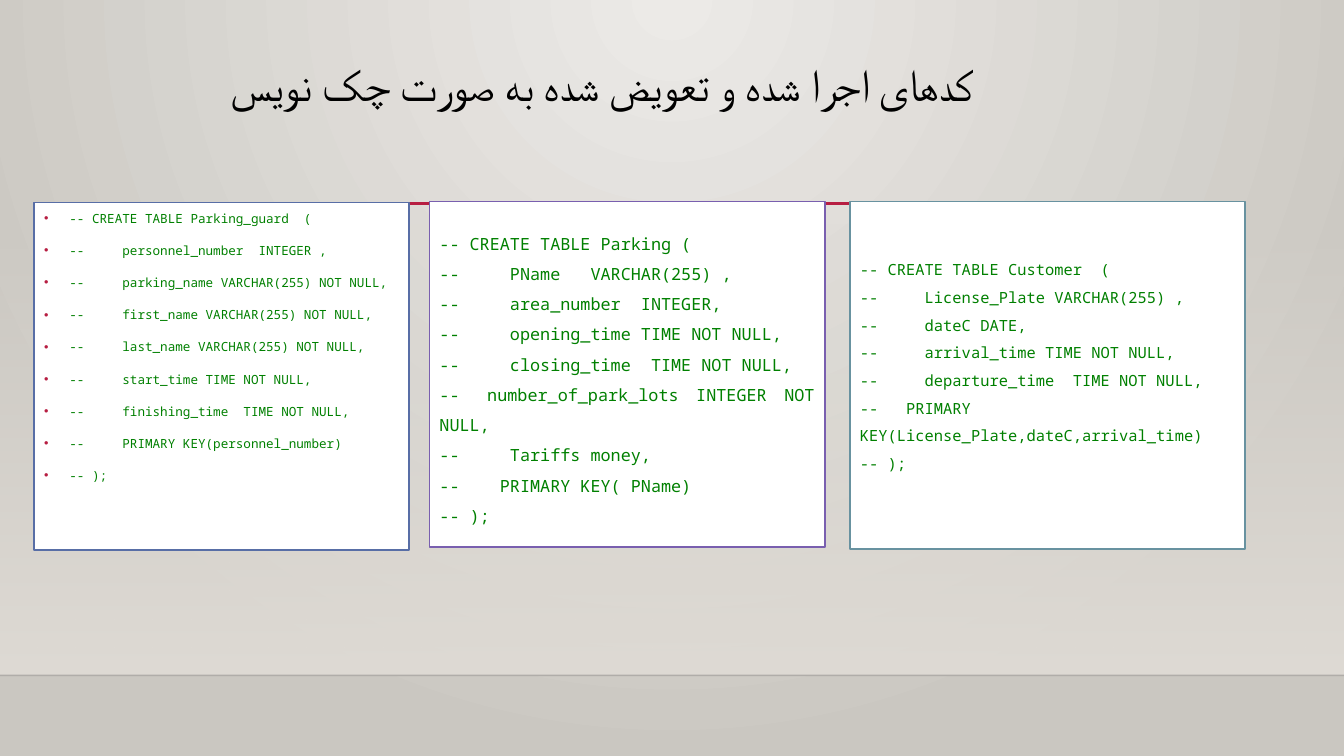
from lxml.etree import SubElement
from pptx import Presentation
from pptx.dml.color import RGBColor
from pptx.enum.shapes import MSO_CONNECTOR, MSO_SHAPE
from pptx.enum.text import MSO_ANCHOR as ANCHOR, MSO_AUTO_SIZE, PP_ALIGN as ALIGN
from pptx.oxml import parse_xml
from pptx.oxml.ns import nsdecls, qn
from pptx.util import Inches, Pt

TITLE = "کدهای اجرا شده و تعویض شده به صورت چک نویس"
COLORS = {
    "glow": "ECEAE7", "edge": "CAC7C1", "wall": "DFDBD5", "floor": "000001",
    "accent": "B71E42", "title": "000000", "code": "008000", "panel": "FFFFFF",
    "guard": "586EA6", "parking": "795FAF", "customer": "6892A0",
}
PANELS = [
    {"border": "guard", "box": (0.34, 2.01, 3.72, 3.45), "size": 9, "bullets": True,
     "anchor": ANCHOR.TOP, "bottom": 0.05,
     "para": {"alignment": ALIGN.LEFT, "line_spacing": 1.2, "space_before": Pt(10)},
     "code": [
         "-- CREATE TABLE Parking_guard  (",
         "--     personnel_number  INTEGER ,",
         "--     parking_name VARCHAR(255) NOT NULL,",
         "--     first_name VARCHAR(255) NOT NULL,",
         "--     last_name VARCHAR(255) NOT NULL,",
         "--     start_time TIME NOT NULL,",
         "--     finishing_time  TIME NOT NULL,",
         "--     PRIMARY KEY(personnel_number)",
         "-- );"]},
    {"border": "parking", "box": (4.26, 2, 3.92, 3.43), "size": 12, "bullets": False,
     "anchor": ANCHOR.MIDDLE, "bottom": 0.05,
     "para": {"alignment": ALIGN.JUSTIFY, "line_spacing": 1.5},
     "code": [
         "-- CREATE TABLE Parking (",
         "--     PName   VARCHAR(255) ,",
         "--     area_number  INTEGER,",
         "--     opening_time TIME NOT NULL,",
         "--     closing_time  TIME NOT NULL,",
         "--  number_of_park_lots INTEGER NOT NULL,",
         "--     Tariffs money,",
         "--    PRIMARY KEY( PName)",
         "-- );"]},
    {"border": "customer", "box": (8.43, 2, 3.92, 3.45), "size": 11, "bullets": False,
     "anchor": ANCHOR.MIDDLE, "bottom": 0.32,
     "para": {"alignment": ALIGN.LEFT, "line_spacing": 1.5},
     "code": [
         "-- CREATE TABLE Customer  (",
         "--     License_Plate VARCHAR(255) ,",
         "--     dateC DATE,",
         "--     arrival_time TIME NOT NULL,",
         "--     departure_time  TIME NOT NULL,",
         "--   PRIMARY KEY(License_Plate,dateC,arrival_time)",
         "-- );"]},
]
WIDTH, HEIGHT = 13.33, 7.5
WALL_TOP, FLOOR = 2.21, 6.7
RULES = [
    {"x": (0, WIDTH), "y": FLOOR, "color": "floor", "width": 1, "alpha": 20},
    {"x": (1.59, 12.1), "y": 2.02, "color": "accent", "width": 2.5, "alpha": 100},
]


def rgb(name):
    return RGBColor.from_string(COLORS[name])


def apply(obj, values):
    for key, value in values.items():
        setattr(obj, key, value)


def gradient(stops, shade):
    marks = "".join(
        f'<a:gs pos="{pos * 1000}"><a:srgbClr val="{COLORS[name]}">'
        f'<a:alpha val="{alpha * 1000}"/></a:srgbClr></a:gs>'
        for pos, name, alpha in stops)
    return f'<a:gradFill {nsdecls("a")} rotWithShape="1"><a:gsLst>{marks}</a:gsLst>{shade}</a:gradFill>'


def add_rect(s, box):
    sp = s.shapes.add_shape(MSO_SHAPE.RECTANGLE, *map(Inches, box))
    sp.shadow.inherit = False
    return sp


def add_backdrop(s):
    shade = '<a:path path="circle"><a:fillToRect l="43000" t="0" r="43000" b="100000"/></a:path>'
    fill = gradient([(0, "glow", 100), (100, "edge", 100)], shade)
    s.element.cSld.insert(0, parse_xml(
        f'<p:bg {nsdecls("p", "a")}><p:bgPr>{fill}<a:effectLst/></p:bgPr></p:bg>'))
    wall = add_rect(s, (0, WALL_TOP, WIDTH, FLOOR - WALL_TOP))
    wall.line.fill.background()
    fill = gradient([(0, "wall", 0), (100, "wall", 100)], '<a:lin ang="5400000" scaled="0"/>')
    wall.element.spPr.find(qn("a:prstGeom")).addnext(parse_xml(fill))


def add_rule(s, rule):
    left, right = map(Inches, rule["x"])
    y = Inches(rule["y"])
    line = s.shapes.add_connector(MSO_CONNECTOR.STRAIGHT, left, y, right, y)
    line.line.color.rgb = rgb(rule["color"])
    line.line.width = Pt(rule["width"])
    spPr = line.element.spPr
    SubElement(spPr, qn("a:effectLst"))
    color = spPr.find(".//" + qn("a:srgbClr"))
    SubElement(color, qn("a:alpha"), val=str(rule["alpha"] * 1000))


def add_bullet(p):
    pPr = p._p.get_or_add_pPr()
    apply_indent = {"marL": Inches(0.25), "indent": -Inches(0.25)}
    for key, value in apply_indent.items():
        pPr.set(key, str(int(value)))
    SubElement(SubElement(pPr, qn("a:buClr")), qn("a:srgbClr"), val=COLORS["accent"])
    SubElement(pPr, qn("a:buFont"), typeface="Arial")
    SubElement(pPr, qn("a:buChar"), char="•")


def add_panel(s, panel):
    sp = add_rect(s, panel["box"])
    sp.fill.solid()
    sp.fill.fore_color.rgb = rgb("panel")
    sp.line.color.rgb = rgb(panel["border"])
    sp.line.width = Pt(1.25)
    tf = sp.text_frame
    apply(tf, {"word_wrap": True, "vertical_anchor": panel["anchor"],
               "margin_bottom": Inches(panel["bottom"])})
    for i, code in enumerate(panel["code"]):
        p = tf.add_paragraph() if i else tf.paragraphs[0]
        apply(p, panel["para"])
        if panel["bullets"]:
            add_bullet(p)
        r = p.add_run()
        r.text = code.replace("  ", " " + chr(160))
        apply(r.font, {"name": "Noto Sans Mono", "size": Pt(panel["size"])})
        r.font.color.rgb = rgb("code")


def set_title(s):
    sp = s.shapes.title
    apply(sp, dict(zip(("left", "top", "width", "height"), map(Inches, (0.72, 0.57, 10.5, 1.15)))))
    tf = sp.text_frame
    apply(tf, {"word_wrap": True, "vertical_anchor": ANCHOR.TOP, "auto_size": MSO_AUTO_SIZE.NONE})
    p = tf.paragraphs[0]
    apply(p, {"alignment": ALIGN.CENTER, "line_spacing": 0.9})
    r = p.add_run()
    r.text = TITLE
    apply(r.font, {"name": "Calibri", "size": Pt(32)})
    r.font.color.rgb = rgb("title")
    SubElement(r._r.get_or_add_rPr(), qn("a:cs"), typeface="Calibri")


def main():
    prs = Presentation()
    prs.slide_width, prs.slide_height = Inches(WIDTH), Inches(HEIGHT)
    s = prs.slides.add_slide(prs.slide_layouts[5])
    add_backdrop(s)
    set_title(s)
    for rule in RULES:
        add_rule(s, rule)
    for panel in PANELS:
        add_panel(s, panel)
    prs.save("out.pptx")


if __name__ == "__main__":
    main()
